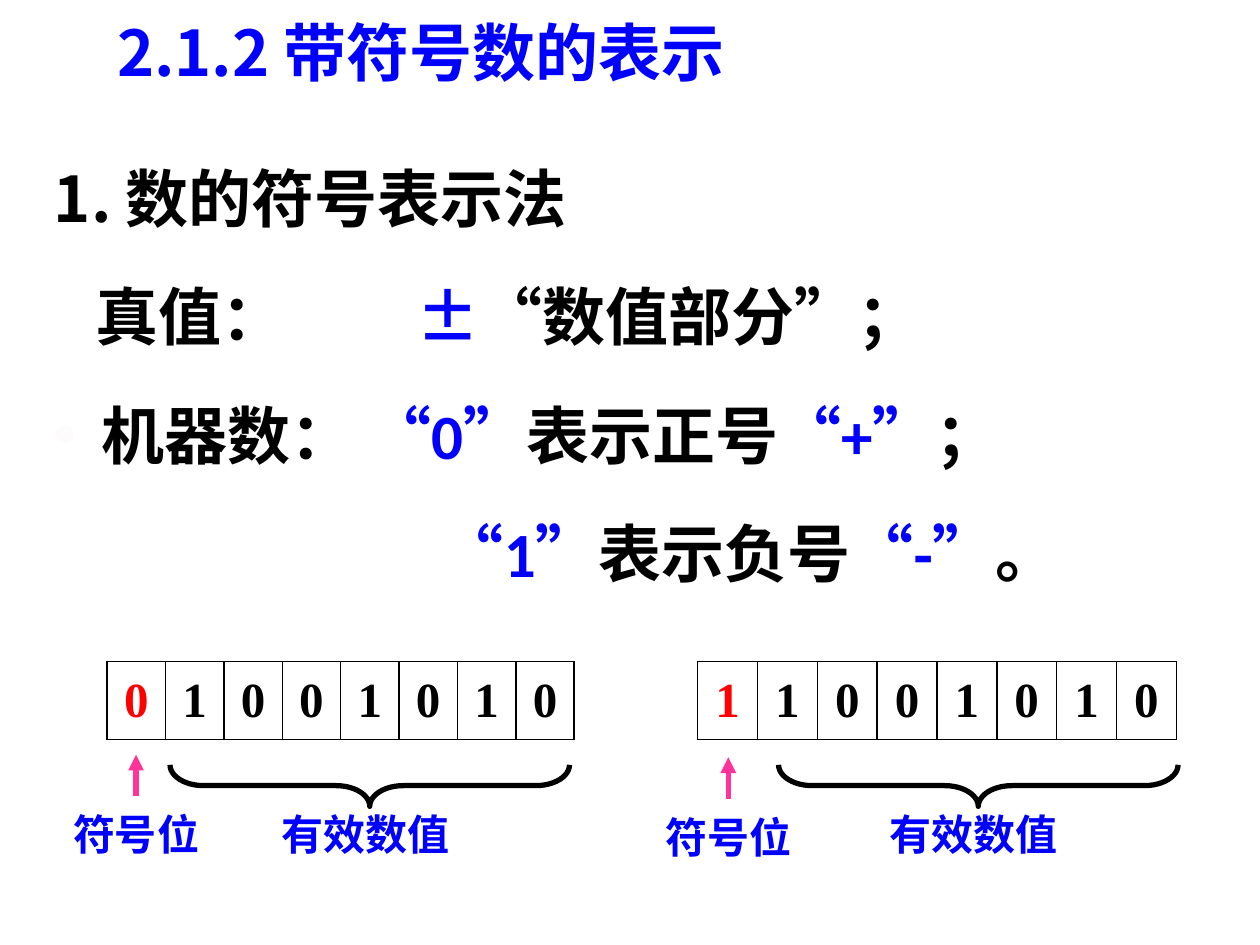
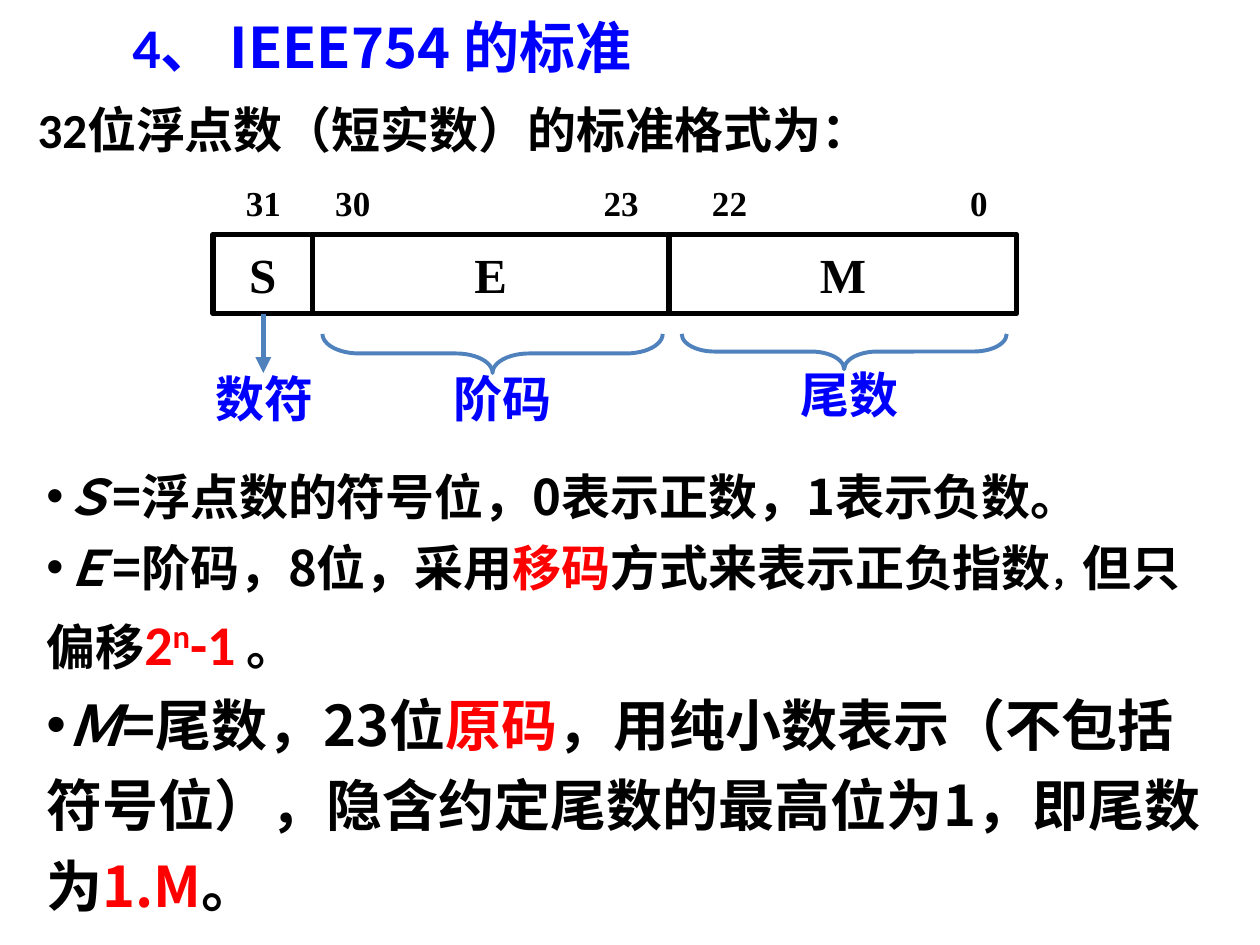
import pptx
import pptx.util
import pptx.dml.color
import pptx.enum.shapes
import pptx.enum.text
import pptx.oxml
import pptx.oxml.ns
from pptx.util import Inches, Pt

# Shared style
BLUE, BLACK, RED = "0000FF", "000000", "FF0000"
PINK, STEEL, PALE = "FF3399", "4F81BD", "FDFBFB"
HEITI, CALIBRI, ARIAL, TIMES = "Noto Sans CJK SC", "Calibri", "Arial", "Times New Roman"
CENTER, JUSTIFY = pptx.enum.text.PP_ALIGN.CENTER, pptx.enum.text.PP_ALIGN.JUSTIFY
LEFT = pptx.enum.text.PP_ALIGN.LEFT
TOP, MIDDLE = pptx.enum.text.MSO_ANCHOR.TOP, pptx.enum.text.MSO_ANCHOR.MIDDLE
SHAPE = pptx.enum.shapes.MSO_SHAPE
TITLE = {"size": 36, "name": HEITI, "color": BLUE, "bold": True}
LABEL = {"size": 24, "name": HEITI, "color": BLUE, "bold": True}
CODE = {"size": 28, "name": TIMES, "color": BLACK, "bold": True}


def rgb(value):
    return pptx.dml.color.RGBColor.from_string(value)


def element(tag, attributes="", content=""):
    """Make one drawing element."""
    names = pptx.oxml.ns.nsdecls("a")
    return pptx.oxml.parse_xml(f"<a:{tag} {names} {attributes}>{content}</a:{tag}>")


def set_all(target, values):
    for name, value in values.items():
        setattr(target, name, value)


# Text helpers
def write(para, style, *spans):
    """Add spans to a paragraph; each is a text or (text, changes to style)."""
    for item in spans:
        text, changes = (item, {}) if isinstance(item, str) else item
        look = {**style, **changes}
        look["size"] = Pt(look["size"])
        color, extra = look.pop("color"), look.pop("extra", {})
        span = para.add_run()
        span.text = text
        set_all(span.font, look)
        span.font.color.rgb = rgb(color)
        properties = span.font._element
        latin = properties.find(pptx.oxml.ns.qn("a:latin"))
        latin.addnext(element("ea", f'typeface="{HEITI}"'))
        for name, value in extra.items():
            properties.set(name, value)


def indent(para, margin, first):
    properties = para._p.get_or_add_pPr()
    properties.set("marL", str(Inches(margin)))
    properties.set("indent", str(Inches(first)))


def add_bullet(para, color):
    properties = para._p.get_or_add_pPr()
    properties.append(element("buClr", content=f'<a:srgbClr val="{color}"/>'))
    properties.append(element("buFont", f'typeface="{ARIAL}"'))
    properties.append(element("buChar", 'char="•"'))


def format_frame(frame, anchor, side=0.1, edge=0.05):
    set_all(frame, {"word_wrap": True, "vertical_anchor": anchor,
                    "auto_size": pptx.enum.text.MSO_AUTO_SIZE.NONE,
                    "margin_left": Inches(side), "margin_right": Inches(side),
                    "margin_top": Inches(edge), "margin_bottom": Inches(edge)})
    return frame


def add_text(page, box, anchor=TOP, **margins):
    shape = page.shapes.add_textbox(*map(Inches, box))
    return format_frame(shape.text_frame, anchor, **margins)


def add_label(page, text, center_x, center_y, style):
    width, height = 1.9, 0.6
    box = (center_x - width / 2, center_y - height / 2, width, height)
    para = add_text(page, box, MIDDLE, side=0.06, edge=0.01).paragraphs[0]
    para.alignment = CENTER
    write(para, style, text)


def add_page(deck, left, top, *spans, size=36):
    page = deck.slides.add_slide(deck.slide_layouts[5])
    title = page.shapes.title
    set_all(title, {"left": Inches(left), "top": Inches(top),
                    "width": Inches(8.5), "height": Inches(0.67)})
    para = format_frame(title.text_frame, MIDDLE).paragraphs[0]
    para.alignment = LEFT
    write(para, {**TITLE, "size": size}, *spans)
    return page


# Drawing helpers
def add_outline(page, kind, box, color, weight):
    shape = page.shapes.add_shape(kind, *map(Inches, box))
    shape.shadow.inherit = False
    shape.fill.background()
    shape.line.color.rgb = rgb(color)
    shape.line.width = Pt(weight)
    return shape


def add_brace(page, box, color, weight, curve):
    """Draw a brace pointing down that fills the wide box."""
    left, top, width, height = box
    shift = (width - height) / 2
    upright = (left + shift, top - shift, height, width)
    shape = add_outline(page, SHAPE.LEFT_BRACE, upright, color, weight)
    shape.rotation = 270
    shape.adjustments[0] = curve


def add_arrow(page, x, start_y, end_y, color):
    arrow = page.shapes.add_connector(pptx.enum.shapes.MSO_CONNECTOR.STRAIGHT,
                                      *map(Inches, (x, start_y, x, end_y)))
    arrow.line.color.rgb = rgb(color)
    arrow.line.width = Pt(3)
    arrow.line._get_or_add_ln().append(element("tailEnd", 'type="triangle"'))
    arrow._element.spPr.append(element("effectLst"))


def set_borders(cell, visible):
    properties = cell._tc.get_or_add_tcPr()
    solid = f'<a:solidFill><a:srgbClr val="{BLACK}"/></a:solidFill>'
    for index, side in enumerate("LRTB"):
        fill = solid if side in visible else "<a:noFill/>"
        properties.insert(index, element(f"ln{side}", f'w="{Pt(1)}"', fill))


# Slide 1: signed numbers
def draw_sign_rules(page, box):
    frame = add_text(page, box)
    style = {**TITLE, "color": BLACK, "name": CALIBRI}
    blue = {"color": BLUE}
    wide_gap = {"extra": {"spc": "6700"}}
    lines = [
        (0, 0, [("1. 数的符号表示法", {"name": HEITI})]),
        (0, 0.33, ["真值：", (" ", wide_gap), ("±", {"color": BLUE, "name": HEITI}),
                   ("“数值部分”；", {"name": ARIAL})]),
        (0.38, -0.38, ["机器数： ", ("“0”", blue), "表示正号", ("“+”", blue), "；"]),
        (0, 3.07, [("“1”", blue), "表示负号", ("“-”", blue), "。"]),
    ]
    for number, (margin, first, spans) in enumerate(lines):
        para = frame.paragraphs[0] if number == 0 else frame.add_paragraph()
        para.line_spacing = Pt(67.6)
        para.alignment = JUSTIFY if number < 2 else LEFT
        indent(para, margin, first)
        if number == 2:
            add_bullet(para, PALE)
        write(para, style, *spans)


def draw_words(page, box, words, word_widths, gap):
    """Draw the bit words in one table, with an open column between them."""
    bits = " ".join(words)
    table = page.shapes.add_table(1, len(bits), *map(Inches, box)).table
    set_all(table, {"first_row": False, "horz_banding": False})
    table.rows[0].height = Inches(box[3])
    widths = [word_widths[0] / 8] * 8 + [gap] + [word_widths[1] / 8] * 8
    for index, (bit, width) in enumerate(zip(bits, widths)):
        table.columns[index].width = Inches(width)
        cell = table.cell(0, index)
        cell.fill.background()
        set_borders(cell, "LR" if bit == " " else "LRTB")
        if bit != " ":
            cell.vertical_anchor = MIDDLE
            para = cell.text_frame.paragraphs[0]
            para.alignment = CENTER
            is_sign = index in (0, 9)
            write(para, {**CODE, "color": RED if is_sign else BLACK}, bit)


def draw_word_notes(page, sign_x, brace_left, drop):
    add_brace(page, (brace_left, 6.07, 3.17, 0.33), BLACK, 3, 0.809)
    add_label(page, "有效数值", brace_left + 1.55, 6.62, LABEL)
    add_arrow(page, sign_x, 6.32 + drop, 5.99 + drop, PINK)
    add_label(page, "符号位", sign_x, 6.62 + drop, LABEL)


def build_signed_numbers(deck):
    page = add_page(deck, 0.83, 0.07, "2.1.2 带符号数的表示")
    draw_sign_rules(page, (0.33, 0.88, 8.5, 3.9))
    draw_words(page, (0.85, 5.25, 8.49, 0.62), ("01001010", "11001010"), (3.71, 3.8), 0.98)
    draw_word_notes(page, 1.08, 1.35, 0)
    draw_word_notes(page, 5.78, 6.18, 0.02)


# Slide 2: floating-point format
def draw_float_format(page, left, top):
    height, field_left = 0.63, left
    for name, width in (("S", 0.79), ("E", 2.83), ("M", 2.76)):
        field = add_outline(page, SHAPE.RECTANGLE, (field_left, top, width, height), BLACK, 3)
        para = format_frame(field.text_frame, MIDDLE).paragraphs[0]
        para.alignment = CENTER
        write(para, CODE, name)
        field_left += width
    for bit, offset in (("31", 0.4), ("30", 1.11), ("23", 3.24), ("22", 4.1), ("0", 6.08)):
        add_label(page, bit, left + offset, top - 0.25, {**CODE, "size": 20})
    for offset, drop, width, depth in ((0.87, 0.79, 2.7, 0.31), (3.72, 0.79, 2.58, 0.28)):
        add_brace(page, (left + offset, top + drop, width, depth), STEEL, 2.25, 0.936)
    add_arrow(page, left + 0.4, top + height, top + 1.1, STEEL)
    for text, offset, drop in (("数符", 0.41, 1.3), ("阶码", 2.3, 1.3), ("尾数", 5.05, 1.27)):
        add_label(page, text, left + offset, top + drop, {**LABEL, "size": 28, "name": CALIBRI})


def draw_field_rules(page, box):
    frame = add_text(page, box)
    style = {"size": 28, "name": HEITI, "color": BLACK, "bold": True}
    large, red, slanted = {**style, "size": 32}, {"color": RED}, {"italic": True}
    power = {"size": 32, "name": CALIBRI, "color": RED}
    rules = [
        (style, [("Ｓ", slanted), "=浮点数的符号位，0表示正数，1表示负数。"]),
        (style, [("Ｅ", slanted), "=阶码，8位，采用", ("移码", red), "方式来表示正负指数",
                 ("，", {"size": 18, "name": CALIBRI}), ("但只偏移", {"name": CALIBRI}),
                 ("2", power), ("n", {**power, "extra": {"baseline": "30000"}}), ("-1", power),
                 (" ", {"name": CALIBRI, "bold": False}), "。",
                 (" ", {"size": 32, "bold": False})]),
        (large, [("Ｍ", slanted), "=尾数，23位", ("原码", red),
                 "，用纯小数表示（不包括符号位），隐含约定尾数的最高位为1，即尾数为",
                 ("1.M", red), "。"]),
    ]
    for number, (look, spans) in enumerate(rules):
        para = frame.paragraphs[0] if number == 0 else frame.add_paragraph()
        para.line_spacing = 1.2
        indent(para, 0, 0)
        add_bullet(para, BLACK)
        write(para, look, *spans)


def build_float_standard(deck):
    page = add_page(deck, 0.95, 0.03, ("4、 ", {"name": CALIBRI}), "IEEE754 的标准", size=32)
    intro = add_text(page, (0.2, 0.74, 9.5, 0.7)).paragraphs[0]
    write(intro, {**CODE, "name": CALIBRI}, "32位浮点数（短实数）的标准格式为：")
    draw_float_format(page, 1.69, 1.86)
    draw_field_rules(page, (0.27, 3.56, 9.45, 3.82))


def main():
    deck = pptx.Presentation()
    set_all(deck, {"slide_width": Inches(10), "slide_height": Inches(7.5)})
    build_signed_numbers(deck)
    build_float_standard(deck)
    deck.save("out.pptx")


if __name__ == "__main__":
    main()
